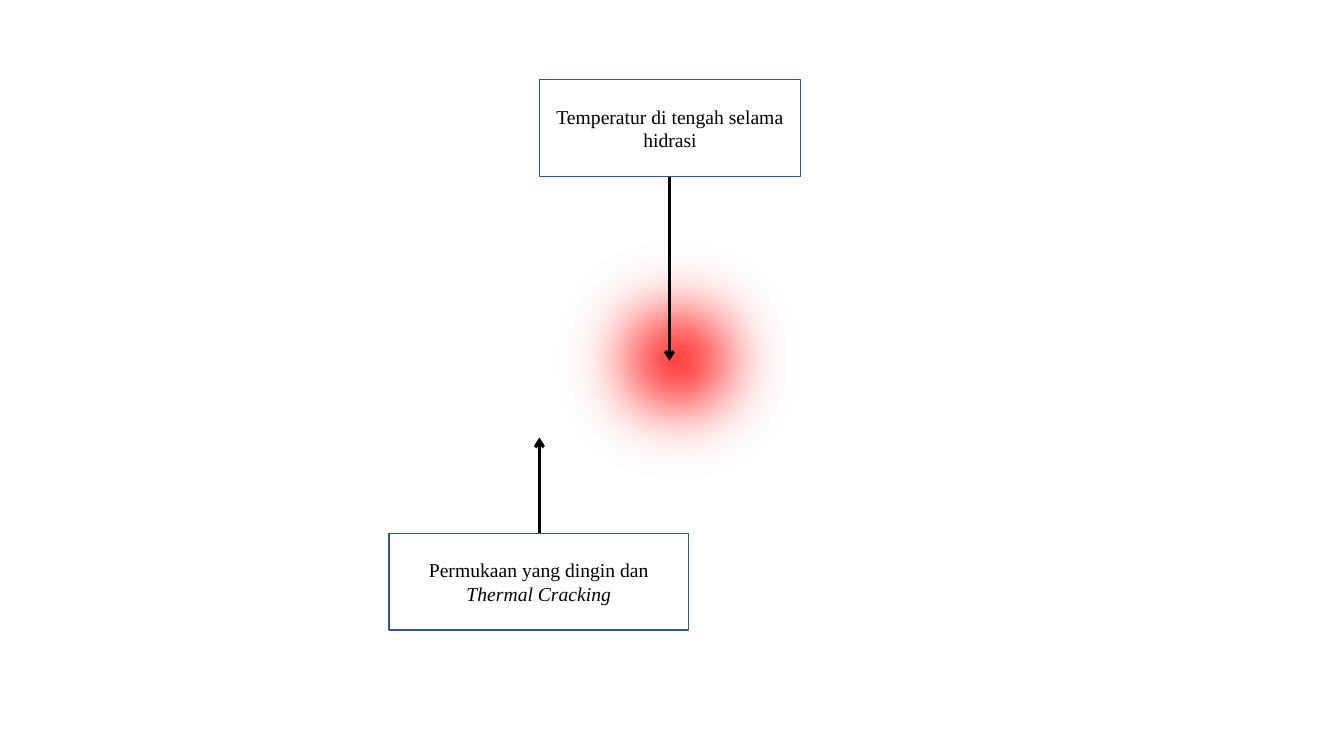
from dataclasses import dataclass

from lxml import etree
from pptx import Presentation
from pptx.dml.color import RGBColor
from pptx.enum.shapes import MSO_CONNECTOR, MSO_SHAPE
from pptx.enum.text import MSO_ANCHOR, PP_ALIGN
from pptx.oxml.ns import qn
from pptx.util import Inches, Pt

RECTANGLE = MSO_SHAPE.RECTANGLE
STRAIGHT = MSO_CONNECTOR.STRAIGHT
MIDDLE = MSO_ANCHOR.MIDDLE
CENTER = PP_ALIGN.CENTER


@dataclass(frozen=True)
class Theme:
    font: str = "Times New Roman"
    ink: RGBColor = RGBColor(0, 0, 0)
    border: RGBColor = RGBColor(0x32, 0x54, 0x91)
    heat: RGBColor = RGBColor(0xFF, 0, 0)
    crack: RGBColor = RGBColor(0xFF, 0xFF, 0xFF)
    label_size: Pt = Pt(14)
    border_width: Pt = Pt(1)
    arrow_width: Pt = Pt(2.25)
    crack_width: Pt = Pt(3)


def add_block(diagram, left, top, width, height):
    block = diagram.shapes.add_shape(
        RECTANGLE, Inches(left), Inches(top), Inches(width), Inches(height))
    block.shadow.inherit = False
    block.fill.background()
    block.line.color.rgb = theme.border
    block.line.width = theme.border_width
    return block


theme = Theme()
deck = Presentation()
deck.slide_width, deck.slide_height = Inches(13.33), Inches(7.5)
slide = deck.slides.add_slide(deck.slide_layouts[6])
diagram = slide.shapes.add_group_shape()

hot_core = add_block(diagram, 5.11, 2, 3.22, 3.14)
hot_core.fill.solid()
hot_core.fill.fore_color.rgb = theme.heat
core_effects = hot_core._element.spPr.find(qn("a:effectLst"))
etree.SubElement(core_effects, qn("a:softEdge"), rad=str(Inches(0.88)))

CRACK_WIDTH = 0.51
CRACK_PATH = [
    (0, 0.01), (0.05, 0.09), (0.07, 0.12), (0.1, 0.15), (0.16, 0.08),
    (0.21, 0), (0.26, 0.01), (0.31, 0.07), (0.34, 0.09), (0.36, 0.11),
    (0.38, 0.11), (0.4, 0.12), (0.43, 0.14), (0.46, 0.15), (0.49, 0.15),
    (0.51, 0.16), (0.49, 0.16),
]
for crack_left in (7.94, 4.99):
    for crack_top, mirrored in ((2.92, True), (4.11, False)):
        points = [
            (Inches(crack_left + (CRACK_WIDTH - x if mirrored else x)),
             Inches(crack_top + y))
            for x, y in CRACK_PATH
        ]
        outline = diagram.shapes.build_freeform(*points[0])
        outline.add_line_segments(points[1:], close=False)
        crack = outline.convert_to_shape()
        crack.shadow.inherit = False
        crack.fill.background()
        crack.line.color.rgb = theme.crack
        crack.line.width = theme.crack_width

LABEL_HEIGHT = 0.96
labels = [
    (5.35, 0.79, 2.59, [("Temperatur di tengah selama hidrasi", False)]),
    (3.86, 5.29, 2.97, [("Permukaan yang dingin dan ", False),
                        ("Thermal Cracking", True)]),
]
for left, top, width, phrases in labels:
    label = add_block(diagram, left, top, width, LABEL_HEIGHT)
    label.text_frame.word_wrap = True
    label.text_frame.vertical_anchor = MIDDLE
    sentence = label.text_frame.paragraphs[0]
    sentence.alignment = CENTER
    for words, italic in phrases:
        phrase = sentence.add_run()
        phrase.text = words
        phrase.font.name = theme.font
        phrase.font.size = theme.label_size
        phrase.font.color.rgb = theme.ink
        phrase.font.italic = italic

for x, start, end in ((6.64, 1.76, 3.58), (5.35, 5.29, 4.34)):
    pointer = diagram.shapes.add_connector(
        STRAIGHT, Inches(x), Inches(start), Inches(x), Inches(end))
    pointer.line.color.rgb = theme.ink
    pointer.line.width = theme.arrow_width
    etree.SubElement(pointer.line._get_or_add_ln(), qn("a:tailEnd"), type="arrow")
    etree.SubElement(pointer._element.spPr, qn("a:effectLst"))

deck.save("out.pptx")
